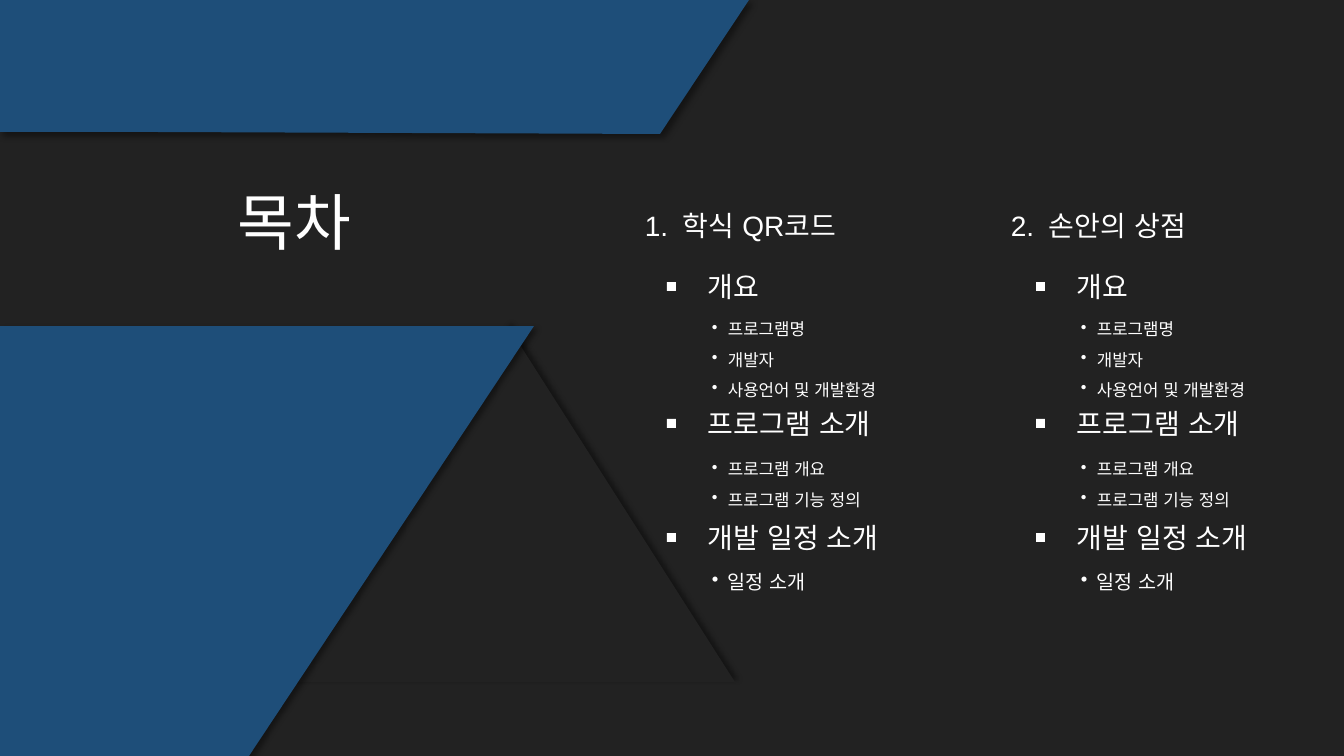
import pptx
import pptx.util
import pptx.dml.color
import pptx.enum.shapes
import pptx.enum.text
import pptx.oxml
import pptx.oxml.ns

PIXEL = 914400 / 100.8
FONT = "Arial"
COLORS = {"background": "222222", "band": "1E4E79", "text": "FFFFFF", "shadow": "000000"}

SECTIONS = [
    {"heading": "개요", "width": 77, "top": 265, "size": 12, "spacing": 1.5,
     "details": ["프로그램명", "개발자", "사용언어 및 개발환경"],
     "detail_box": (304, 229, 122)},
    {"heading": "프로그램 소개", "width": 200, "top": 402, "size": 12, "spacing": 1.5,
     "details": ["프로그램 개요", "프로그램 기능 정의"],
     "detail_box": (444, 256, 102)},
    {"heading": "개발 일정 소개", "width": 209, "top": 516, "size": 14, "spacing": 1.0,
     "details": ["일정 소개"],
     "detail_box": (565, 194, 65)},
]
COLUMNS = [
    {"title": "학식 QR코드", "title_left": 635, "title_width": 236, "left": 698},
    {"title": "손안의 상점", "title_left": 1001, "title_width": 209, "left": 1067},
]


def emu(pixels):
    return pptx.util.Emu(round(pixels * PIXEL))


def rgb(name):
    return pptx.dml.color.RGBColor.from_string(COLORS[name])


def append_xml(parent, tag, attributes, content=""):
    namespace = pptx.oxml.ns.nsdecls("a")
    element = pptx.oxml.parse_xml(f"<a:{tag} {namespace} {attributes}>{content}</a:{tag}>")
    parent.append(element)


def paint(shape, color, shadow_angle=None):
    shape.fill.solid()
    shape.fill.fore_color.rgb = rgb(color)
    shape.line.fill.background()
    shape.shadow.inherit = False
    if shadow_angle is not None:
        effects = shape._element.spPr.find(pptx.oxml.ns.qn("a:effectLst"))
        append_xml(
            effects, "outerShdw",
            f'blurRad="{pptx.util.Pt(4)}" dist="{pptx.util.Pt(3)}" '
            f'dir="{shadow_angle * 60000}" algn="tl" rotWithShape="0"',
            f'<a:srgbClr val="{COLORS["shadow"]}"><a:alpha val="40000"/></a:srgbClr>',
        )


def add_preset(slide, kind, box, color, shadow_angle=None):
    shape = slide.shapes.add_shape(kind, *map(emu, box))
    paint(shape, color, shadow_angle)


def add_band(slide, points):
    builder = slide.shapes.build_freeform(*points[0], scale=PIXEL)
    builder.add_line_segments(points[1:], close=True)
    paint(builder.convert_to_shape(), "band", 45)


def set_marker(paragraph, tag, attributes, margin, hang):
    properties = paragraph._p.get_or_add_pPr()
    properties.set("marL", str(emu(margin)))
    properties.set("indent", str(-emu(hang)))
    append_xml(properties, tag, attributes)


def add_text(slide, lines, box, size, align="LEFT", spacing=1.0, marker=None):
    frame = slide.shapes.add_textbox(*map(emu, box)).text_frame
    frame.word_wrap = True
    for index, line in enumerate(lines):
        paragraph = frame.paragraphs[0] if index == 0 else frame.add_paragraph()
        paragraph.alignment = getattr(pptx.enum.text.PP_ALIGN, align)
        paragraph.line_spacing = spacing
        if marker:
            set_marker(paragraph, *marker)
        run = paragraph.add_run()
        run.text = line
        run.font.name = FONT
        run.font.size = pptx.util.Pt(size)
        run.font.color.rgb = rgb("text")
        append_xml(run._r.get_or_add_rPr(), "ea", f'typeface="{FONT}"')


def add_section(slide, left, section):
    top = section["top"]
    square = pptx.enum.shapes.MSO_SHAPE.RECTANGLE
    add_preset(slide, square, (left - 31, top + 17, 9, 9), "text")
    add_text(slide, [section["heading"]], (left, top, section["width"], 44), 20)
    detail_top, width, height = section["detail_box"]
    add_text(slide, section["details"], (left, detail_top, width, height), section["size"],
             spacing=section["spacing"], marker=("buChar", 'char="•"', 20, 16))


def add_column(slide, number, column):
    numbering = ("buAutoNum", f'type="arabicPeriod" startAt="{number}"', 38, 38)
    add_text(slide, [column["title"]], (column["title_left"], 204, column["title_width"], 44),
             20, marker=numbering)
    for section in SECTIONS:
        add_section(slide, column["left"], section)


def main():
    presentation = pptx.Presentation()
    presentation.slide_width = emu(1344)
    presentation.slide_height = emu(756)
    slide = presentation.slides.add_slide(presentation.slide_layouts[6])
    slide.background.fill.solid()
    slide.background.fill.fore_color.rgb = rgb("background")

    triangle = pptx.enum.shapes.MSO_SHAPE.ISOSCELES_TRIANGLE
    add_preset(slide, triangle, (281, 326, 454, 356), "background", 315)
    add_band(slide, [(0, 0), (749, 0), (660, 134), (156, 132), (0, 132)])
    add_band(slide, [(0, 326), (534, 326), (249, 756), (0, 756)])

    add_text(slide, ["목차"], (83, 179, 423, 85), 44, align="CENTER")
    for number, column in enumerate(COLUMNS, start=1):
        add_column(slide, number, column)

    presentation.save("out.pptx")


main()
